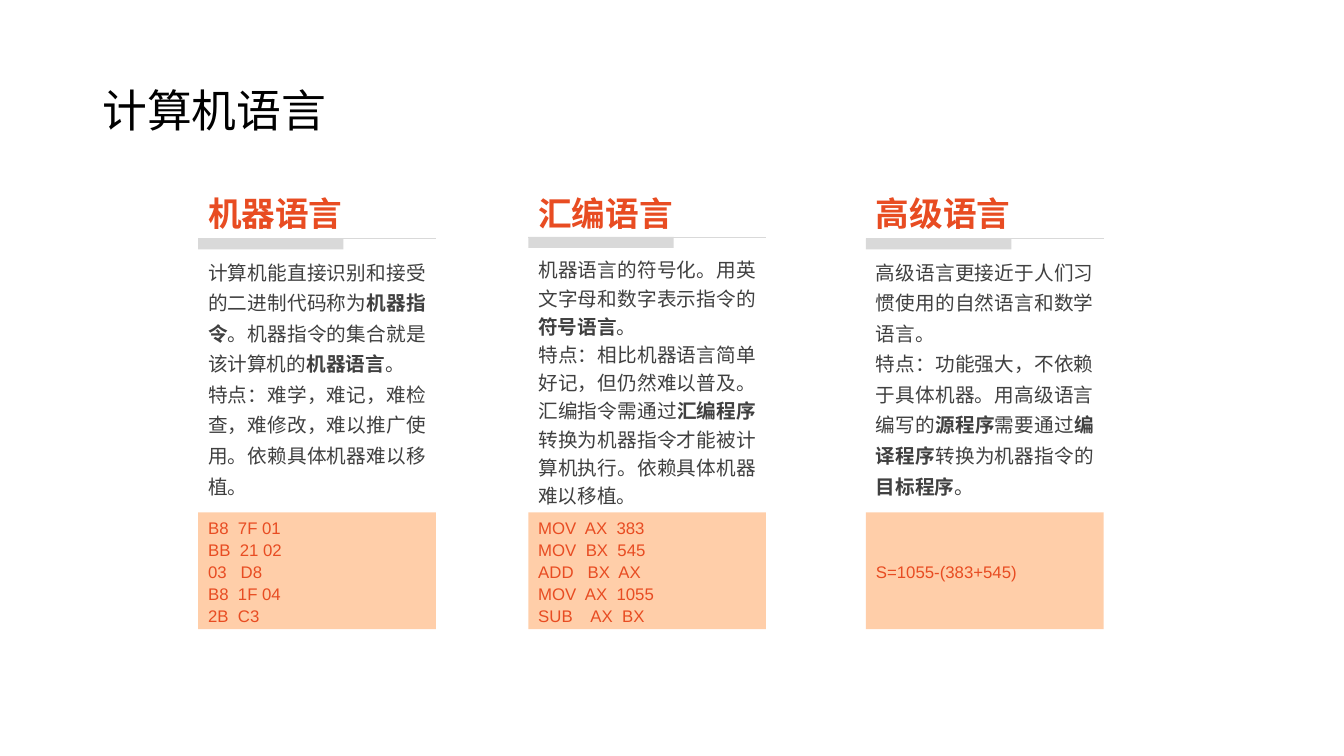
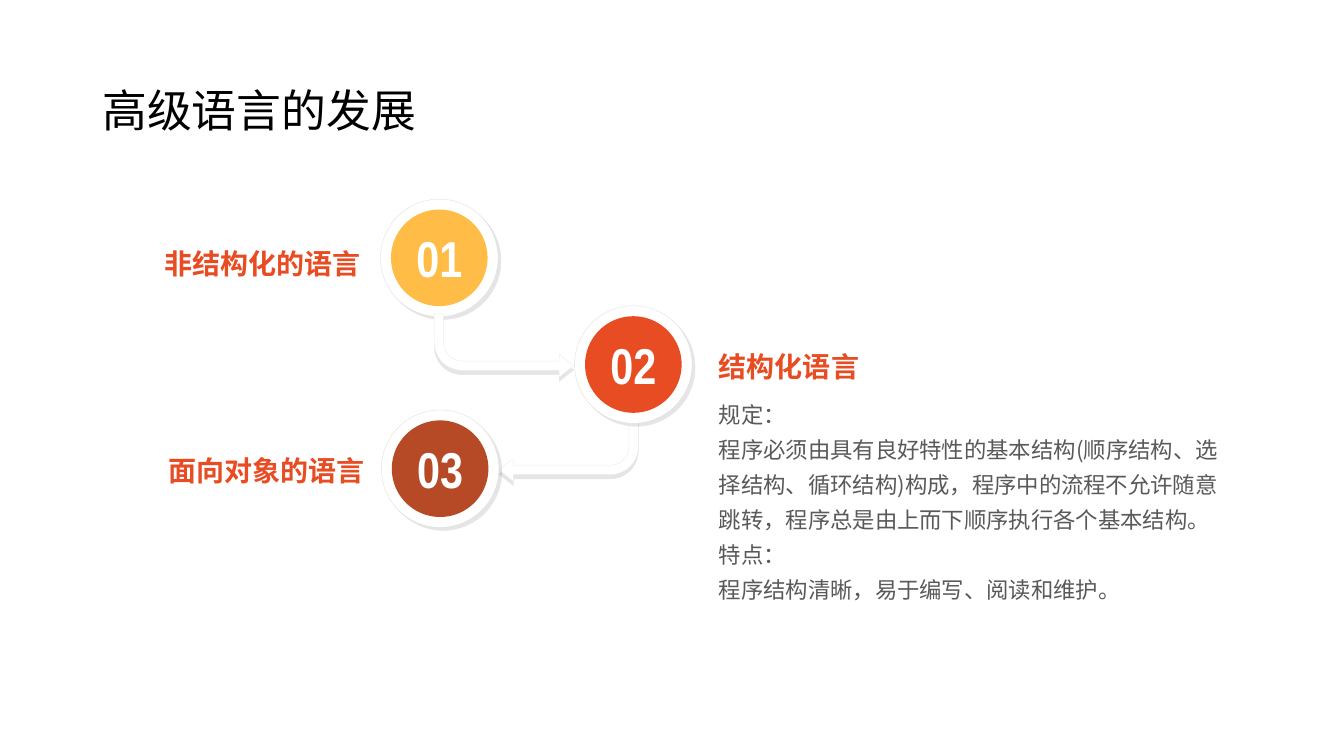
from dataclasses import dataclass

from lxml.etree import SubElement
from pptx import Presentation
from pptx.dml.color import RGBColor
from pptx.enum.shapes import MSO_CONNECTOR as Connector, MSO_SHAPE as Preset
from pptx.enum.text import MSO_ANCHOR as Anchor, PP_ALIGN as Align
from pptx.oxml.ns import qn
from pptx.util import Emu, Inches, Pt

COLORS = {
    "background": "FFFFFF", "title": "000000", "accent": "E84C22",
    "body": "404040", "detail": "595959", "rule": "D9D9D9",
    "code": "FFCEA9", "white": "FFFFFF", "ring": "DDDDDD",
    "arrow": "EAEAEA", "shadow": "000000",
    "yellow": "FFBD47", "rust": "B64926",
}
CHINESE = "Noto Sans CJK SC"
SLIDE_WIDTH, SLIDE_HEIGHT = Inches(13.3333), Inches(7.5)
COLUMNS, ROWS = 160, 90


@dataclass(frozen=True)
class Box:
    left: float
    top: float
    width: float
    height: float

    def place(self) -> tuple:
        column, row = SLIDE_WIDTH / COLUMNS, SLIDE_HEIGHT / ROWS
        return (Emu(round(self.left * column)), Emu(round(self.top * row)),
                Emu(round(self.width * column)), Emu(round(self.height * row)))


@dataclass(frozen=True)
class Style:
    font: dict
    color: str
    paragraph: dict
    frame: dict


@dataclass(frozen=True)
class Language:
    name: str
    left: float
    rule_top: float
    line_spacing: float
    description: tuple
    code: tuple


@dataclass(frozen=True)
class Stage:
    number: str
    center_column: float
    center_row: float
    color: str


@dataclass(frozen=True)
class Label:
    text: str
    box: Box
    alignment: Align


@dataclass(frozen=True)
class BentArrow:
    box: Box
    flips: tuple


def make_style(size: float, color: str, name: str = CHINESE, bold: bool = False,
               alignment: Align = Align.LEFT, line_spacing: float = 1.0,
               anchor: Anchor = Anchor.TOP, inset: dict = {}) -> Style:
    return Style({"size": Pt(size), "name": name, "bold": bold}, color,
                 {"alignment": alignment, "line_spacing": line_spacing},
                 {"word_wrap": True, "vertical_anchor": anchor, **inset})


def apply_format(target, values: dict) -> None:
    for name, value in values.items():
        setattr(target, name, value)


def rgb(color: str) -> RGBColor:
    return RGBColor.from_string(COLORS[color])


def write(shape, paragraphs: tuple, style: Style) -> None:
    frame = shape.text_frame
    apply_format(frame, style.frame)
    for index, text in enumerate(paragraphs):
        paragraph = frame.add_paragraph() if index else frame.paragraphs[0]
        apply_format(paragraph, style.paragraph)
        for position, part in enumerate(text.split("*")):
            if not part:
                continue
            run = paragraph.add_run()
            run.text = part
            apply_format(run.font, style.font)
            run.font.color.rgb = rgb(style.color)
            if position % 2:
                run.font.bold = True
            east_asian = SubElement(run.font._element, qn("a:ea"))
            east_asian.set("typeface", style.font["name"])


def add_text(slide, box: Box, paragraphs: tuple, style: Style) -> None:
    write(slide.shapes.add_textbox(*box.place()), paragraphs, style)


def add_filled(slide, preset: Preset, box: Box, fill: str, outline: str = ""):
    shape = slide.shapes.add_shape(preset, *box.place())
    shape.shadow.inherit = False
    shape.fill.solid()
    shape.fill.fore_color.rgb = rgb(fill)
    if outline:
        shape.line.color.rgb = rgb(outline)
        shape.line.width = Pt(0.25)
    else:
        shape.line.fill.background()
    return shape


def add_shadow(shape, angle: int) -> None:
    effects = shape._element.spPr.find(qn("a:effectLst"))
    shadow = SubElement(effects, qn("a:outerShdw"), blurRad="0", dist=str(Pt(3)),
                        dir=str(angle * 60000), algn="ctr", rotWithShape="0")
    color = SubElement(shadow, qn("a:srgbClr"), val=COLORS["shadow"])
    SubElement(color, qn("a:alpha"), val="10000")


def add_rule(slide, left: float, top: float, length: float) -> None:
    x, y, width, _ = Box(left, top, length, 0).place()
    line = slide.shapes.add_connector(Connector.STRAIGHT, x, y, x + width, y)
    line.line.color.rgb = rgb("rule")
    line.line.width = Pt(0.5)
    SubElement(line._element.spPr, qn("a:effectLst"))


TITLE = make_style(32, "title", line_spacing=0.9, anchor=Anchor.MIDDLE)
HEADING = make_style(24, "accent", bold=True, anchor=Anchor.BOTTOM)
CODE = make_style(12, "accent", "Arial", alignment=Align.JUSTIFY,
                  line_spacing=1.1, anchor=Anchor.MIDDLE)
DETAIL = make_style(16, "detail", line_spacing=1.3)
NUMBER = make_style(36, "white", "Arial Narrow", True, Align.CENTER, anchor=Anchor.MIDDLE,
                    inset={f"margin_{side}": 0 for side in ("left", "top", "right", "bottom")})
CARD_WIDTH = 28.3
RING, DISC = 14, 11.5

LANGUAGES = (
    Language("机器语言", 23.6, 28.4, 1.3, (
        "计算机能直接识别和接受的二进制代码称为*机器指令*。机器指令的集合就是该计算机的*机器语言*。",
        "特点：难学，难记，难检查，难修改，难以推广使用。依赖具体机器难以移植。"),
        ("B8  7F 01", "BB  21 02", "03   D8", "B8  1F 04", "2B  C3")),
    Language("汇编语言", 62.9, 28.2, 1.2, (
        "机器语言的符号化。用英文字母和数字表示指令的*符号语言*。",
        "特点：相比机器语言简单好记，但仍然难以普及。汇编指令需通过*汇编程序*"
        "转换为机器指令才能被计算机执行。依赖具体机器难以移植。"),
        ("MOV  AX  383", "MOV  BX  545", "ADD   BX  AX", "MOV  AX  1055", "SUB    AX  BX")),
    Language("高级语言", 103.1, 28.4, 1.3, (
        "高级语言更接近于人们习惯使用的自然语言和数学语言。",
        "特点：功能强大，不依赖于具体机器。用高级语言编写的*源程序*需要通过*编译程序*"
        "转换为机器指令的*目标程序*。"),
        ("S=1055-(383+545)",)),
)
STAGES = (
    Stage("01", 52.3, 30.7, "yellow"),
    Stage("02", 75.4, 43.4, "accent"),
    Stage("03", 52.4, 55.8, "rust"),
)
ARROWS = (
    BentArrow(Box(59.4, 49.7, 16.6, 7.6), ("flipH", "flipV")),
    BentArrow(Box(51.7, 37.3, 16.6, 7.6), ("flipV",)),
)
LABELS = (
    Label("非结构化的语言", Box(7.6, 28.4, 36.5, 5.9), Align.RIGHT),
    Label("面向对象的语言", Box(8.1, 53, 36.5, 5.9), Align.RIGHT),
    Label("结构化语言", Box(84.4, 40.7, 36.5, 5.9), Align.LEFT),
)
STRUCTURED_DETAIL = (
    "规定：",
    "程序必须由具有良好特性的基本结构(顺序结构、选择结构、循环结构)构成，"
    "程序中的流程不允许随意跳转，程序总是由上而下顺序执行各个基本结构。",
    "特点：",
    "程序结构清晰，易于编写、阅读和维护。",
)


def add_titled_slide(presentation, title: str):
    slide = presentation.slides.add_slide(presentation.slide_layouts[6])
    slide.background.fill.solid()
    slide.background.fill.fore_color.rgb = rgb("background")
    add_text(slide, Box(11, 4.8, 138, 17.4), (title,), TITLE)
    return slide


def add_language(slide, language: Language) -> None:
    left = language.left
    add_text(slide, Box(left, 22.7, CARD_WIDTH, 5.6), (language.name,), HEADING)
    body = make_style(14, "body", alignment=Align.JUSTIFY, line_spacing=language.line_spacing)
    add_text(slide, Box(left, 29.6, CARD_WIDTH, 32.2), language.description, body)
    panel = add_filled(slide, Preset.RECTANGLE, Box(left, 61, CARD_WIDTH, 13.9), "code")
    write(panel, language.code, CODE)
    add_filled(slide, Preset.RECTANGLE, Box(left, language.rule_top, 17.3, 1.3), "rule")
    add_rule(slide, left, language.rule_top, CARD_WIDTH)


def add_stage(slide, stage: Stage) -> None:
    def centered(size: float) -> Box:
        return Box(stage.center_column - size / 2, stage.center_row - size / 2, size, size)

    ring = add_filled(slide, Preset.OVAL, centered(RING), "white", "ring")
    add_shadow(ring, 45)
    disc = add_filled(slide, Preset.OVAL, centered(DISC), stage.color)
    write(disc, (stage.number,), NUMBER)


def add_arrow(slide, arrow: BentArrow) -> None:
    shape = add_filled(slide, Preset.BENT_ARROW, arrow.box, "white", "arrow")
    for index, value in enumerate((0.146, 0.178, 0.226, 0.438)):
        shape.adjustments[index] = value
    for flip in arrow.flips:
        shape._element.spPr.xfrm.set(flip, "1")
    add_shadow(shape, 90)


def build() -> None:
    presentation = Presentation()
    apply_format(presentation, {"slide_width": SLIDE_WIDTH, "slide_height": SLIDE_HEIGHT})

    languages_slide = add_titled_slide(presentation, "计算机语言")
    for language in LANGUAGES:
        add_language(languages_slide, language)

    history_slide = add_titled_slide(presentation, "高级语言的发展")
    first, *later = STAGES
    add_stage(history_slide, first)
    for arrow in ARROWS:
        add_arrow(history_slide, arrow)
    for stage in later:
        add_stage(history_slide, stage)
    for label in LABELS:
        style = make_style(20, "accent", bold=True, alignment=label.alignment,
                           anchor=Anchor.MIDDLE)
        add_text(history_slide, label.box, (label.text,), style)
    add_text(history_slide, Box(84.4, 46.2, 63.1, 28.1), STRUCTURED_DETAIL, DETAIL)

    presentation.save("out.pptx")


build()
